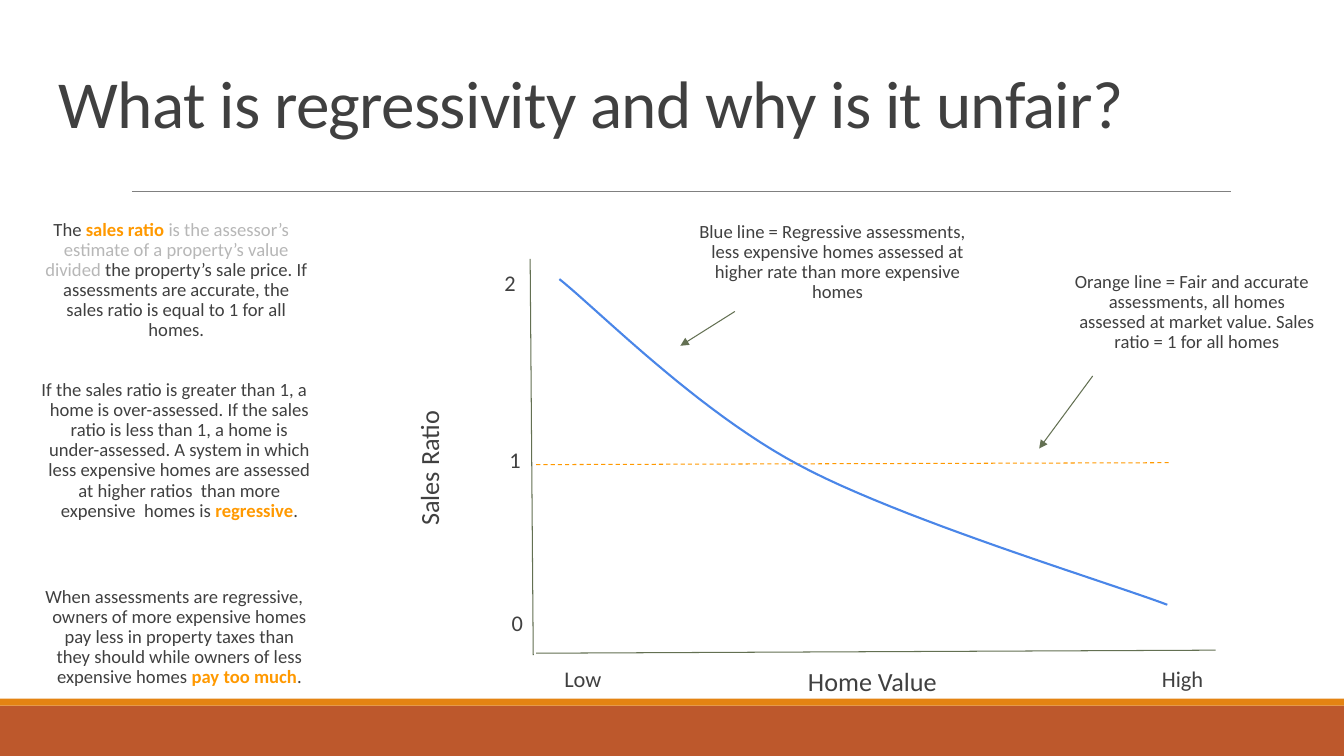
from pptx import Presentation
from pptx.dml.color import RGBColor
from pptx.enum.dml import MSO_LINE
from pptx.enum.shapes import MSO_CONNECTOR, MSO_SHAPE
from pptx.enum.text import MSO_ANCHOR, MSO_AUTO_SIZE, PP_ALIGN
from pptx.oxml.ns import qn
from pptx.util import Pt
from lxml import etree

LEFT, MID, RIGHT = PP_ALIGN.LEFT, PP_ALIGN.CENTER, PP_ALIGN.RIGHT
RECT, LINE = MSO_SHAPE.RECTANGLE, MSO_CONNECTOR.STRAIGHT
TOP, CENTER = MSO_ANCHOR.TOP, MSO_ANCHOR.MIDDLE
FIXED, DASH = MSO_AUTO_SIZE.NONE, MSO_LINE.DASH

WIDE, HIGH = 960, 540
FACE = "Calibri"
COLORS = {
    "text": "404040", "pale": "B7B7B7", "orange": "FF9900", "blue": "4A86E8",
    "axis": "637052", "rule": "808080", "rust": "BD582C", "amber": "E48312",
}

TITLE = "What is regressivity and why is it unfair?"
TITLE_BOX = (32.4, 46.8, 894.2, 60.5)

# Text runs: (words, color); orange runs are bold
NOTES = [
    ((14.4, 147.6), [
        ("The ", "text"), ("sales ratio ", "orange"),
        ("is the assessor’s estimate of a property’s value divided", "pale"),
        (" the property’s sale price. If assessments are accurate, the sales "
         "ratio is equal to 1 for all homes.", "text")]),
    ((16.6, 262.1), [
        ("If the sales ratio is greater than 1, a home is over-assessed. If "
         "the sales ratio is less than 1, a home is under-assessed. A system "
         "in which less expensive homes are assessed at higher ratios  than "
         "more expensive  homes is ", "text"),
        ("regressive", "orange"), (".", "text")]),
    ((16.6, 409.7), [
        ("When assessments are regressive, owners of more expensive homes pay "
         "less in property taxes than they should while owners of less "
         "expensive homes ", "text"),
        ("pay too much", "orange"), (".", "text")]),
    ((486.7, 149), [
        ("Blue line = Regressive assessments, less expensive homes assessed "
         "at higher rate than more expensive homes", "text")]),
    ((753.1, 185), [
        ("Orange line = Fair and accurate assessments, all homes assessed at "
         "market value. Sales ratio = 1 for all homes", "text")]),
]
NOTE_WIDTHS = (216, 216, 216, 216, 196.6)
NOTE_HIGH = 113

# Axis marks: words, left, top, width
MARKS = [
    ("2", 315.4, 185, 62.6), ("1", 325.4, 311, 56.2), ("0", 326.9, 427.7, 56.2),
    ("Low", 383, 468, 56.2), ("High", 812.9, 468, 56.2),
]
MARK_HIGH = 41

# Axis names: words, box, turn
NAMES = [
    ("Home Value", (533.5, 468, 179.3, 64.8), 0),
    ("Sales Ratio", (201.6, 313.9, 213.8, 41), 270),
]

# Lines: from, to, color, width, dash, arrow
LINES = [
    ((94.3, 136.8), (879.1, 136.8), "rule", 0.5, None, False),
    ((378.7, 185), (380.9, 468), "axis", 0.75, None, False),
    ((383, 466.6), (868.3, 464.4), "axis", 0.75, None, False),
    ((383, 331.9), (836.6, 330.5), "orange", 0.75, DASH, False),
    ((780.5, 268.6), (742.3, 320.4), "axis", 0.75, None, True),
    ((524.9, 222.5), (486, 247), "axis", 0.75, None, True),
]
# Each row bends from the end of the row before: two handles, then its end
START = (399.6, 199.4)
BENDS = [
    ((427.7, 221.8), (497.5, 293), (570.2, 331.9)),
    ((642.2, 370.8), (789.8, 415.4), (833.8, 432)),
]
STEPS = 24
BARS = [(504, 36, "rust"), (499, 5, "amber")]


def color(name):
    return RGBColor.from_string(COLORS[name])


def put(item, values):
    for key, value in values.items():
        setattr(item, key, value)


def write(shape, runs, size, align, space=0.9, hang=7.2, anchor=TOP):
    frame = shape.text_frame
    put(frame, {"word_wrap": True, "auto_size": FIXED, "vertical_anchor": anchor})
    put(frame, {f"margin_{side}": Pt(9.6)
                for side in ("left", "top", "right", "bottom")})
    para = frame.paragraphs[0]
    put(para, {"alignment": align, "line_spacing": space,
               "space_before": Pt(0), "space_after": Pt(2)})
    props = para._p.get_or_add_pPr()
    props.set("marL", str(Pt(hang)))
    props.set("indent", str(Pt(-hang)))
    for words, tone in runs:
        run = para.add_run()
        run.text = words
        put(run.font, {"name": FACE, "size": Pt(size), "bold": tone == "orange"})
        run.font.color.rgb = color(tone)
    return para


def label(box, runs, size, align=MID, turn=0):
    shape = slide.shapes.add_textbox(*map(Pt, box))
    shape.rotation = turn
    write(shape, runs, size, align)


def stroke(start, end, tone, width, dash, arrow):
    line = slide.shapes.add_connector(LINE, *map(Pt, start + end))
    line.line.color.rgb = color(tone)
    put(line.line, {"width": Pt(width), "dash_style": dash})
    if arrow:
        head = etree.SubElement(line.line._get_or_add_ln(), qn("a:tailEnd"))
        head.set("type", "triangle")
    etree.SubElement(line._element.spPr, qn("a:effectLst"))


def bezier(a, b, c, d, t):
    u = 1 - t
    return tuple(Pt(u**3 * p + 3 * u * u * t * q + 3 * u * t * t * r + t**3 * s)
                 for p, q, r, s in zip(a, b, c, d))


def curve():
    points, last = [], START
    for one, two, end in BENDS:
        points += [bezier(last, one, two, end, n / STEPS)
                   for n in range(1, STEPS + 1)]
        last = end
    path = slide.shapes.build_freeform(*map(Pt, START))
    path.add_line_segments(points, close=False)
    shape = path.convert_to_shape()
    shape.fill.background()
    shape.line.color.rgb = color("blue")
    shape.line.width = Pt(1.5)
    shape.shadow.inherit = False


deck = Presentation()
put(deck, {"slide_width": Pt(WIDE), "slide_height": Pt(HIGH)})
slide = deck.slides.add_slide(deck.slide_layouts[5])

title = slide.shapes.title
put(title, dict(zip(("left", "top", "width", "height"), map(Pt, TITLE_BOX))))
para = write(title, [(TITLE, "text")], 48, LEFT, 0.85, 0, CENTER)
para.runs[0].font._element.set("spc", "-50")

for top, tall, tone in BARS:
    bar = slide.shapes.add_shape(RECT, 0, Pt(top), Pt(WIDE), Pt(tall))
    bar.fill.solid()
    bar.fill.fore_color.rgb = color(tone)
    bar.line.fill.background()
    bar.shadow.inherit = False

for line in LINES:
    stroke(*line)
curve()

for words, box, turn in NAMES:
    label(box, [(words, "text")], 18.7, turn=turn)
for words, left, top, width in MARKS:
    label((left, top, width, MARK_HIGH), [(words, "text")], 16, RIGHT)
for (spot, runs), width in zip(NOTES, NOTE_WIDTHS):
    label(spot + (width, NOTE_HIGH), runs, 13.3)

deck.save("out.pptx")
